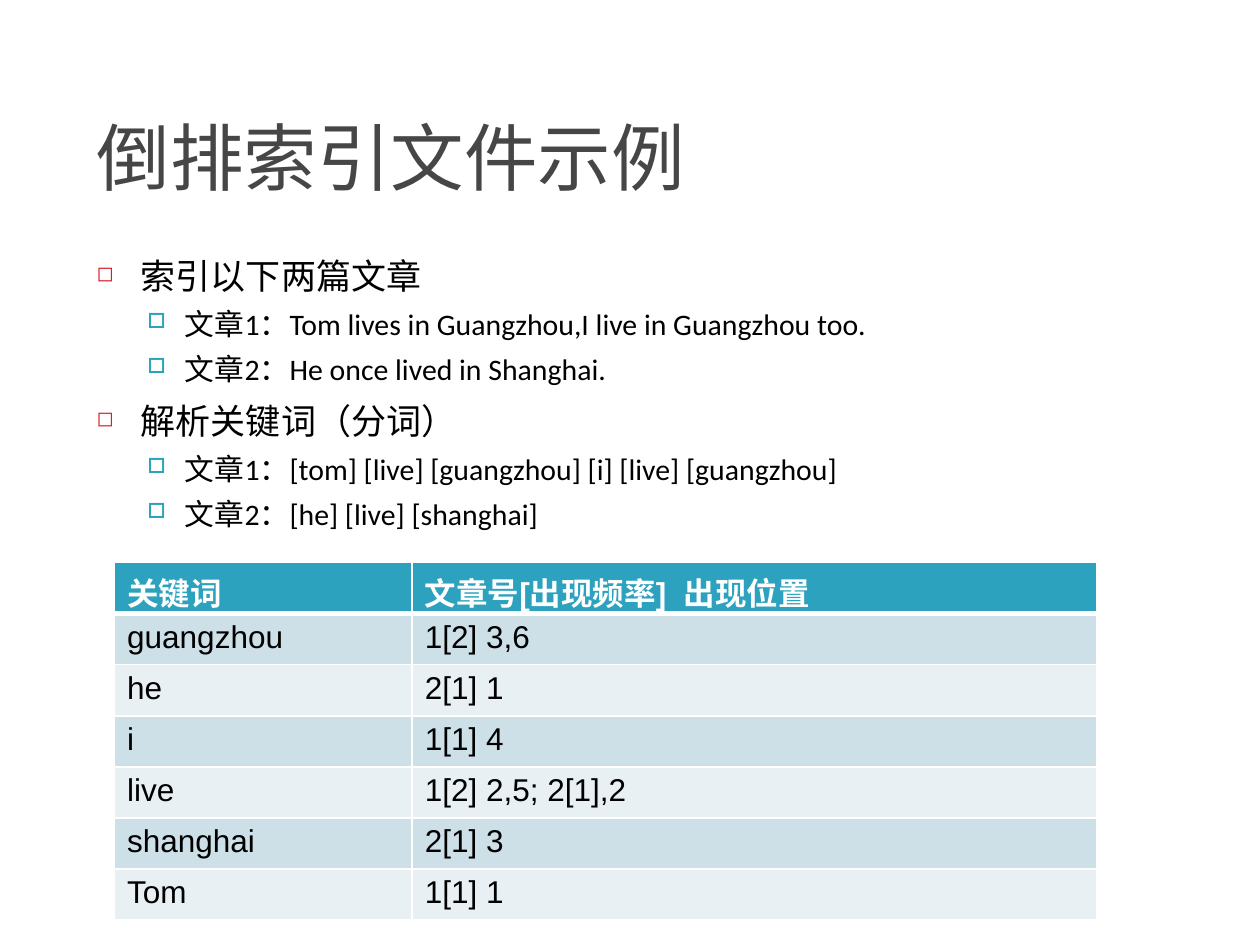
from lxml.etree import SubElement
from pptx import Presentation
from pptx.dml.color import RGBColor
from pptx.enum.text import MSO_ANCHOR as Anchor
from pptx.oxml import parse_xml
from pptx.oxml.ns import nsdecls, qn
from pptx.util import Cm, Pt

COLORS = {
    "title": "464646",
    "text": "000000",
    "white": "FFFFFF",
    "red": "DA1F28",
    "teal": "2DA2BF",
    "band_dark": "CDE0E8",
    "band_light": "E8F0F4",
}

# size, space before, left margin (cm), hanging indent (cm), bullet, its colour and percent
LEVELS = [
    (20, 7, 0.89, 0.89, "◻", "red", 60),
    (17, 5.5, 1.78, 0.76, "□", "teal", 70),
]

OUTLINE = [
    (0, "索引以下两篇文章"),
    (1, "文章1：Tom lives in Guangzhou,I live in Guangzhou too."),
    (1, "文章2：He once lived in Shanghai."),
    (0, "解析关键词（分词）"),
    (1, "文章1：[tom] [live] [guangzhou] [i] [live] [guangzhou]"),
    (1, "文章2：[he] [live] [shanghai]"),
]

INDEX_ROWS = [
    ("关键词", "文章号[出现频率]  出现位置"),
    ("guangzhou", "1[2] 3,6"),
    ("he", "2[1] 1"),
    ("i", "1[1] 4"),
    ("live", "1[2] 2,5; 2[1],2"),
    ("shanghai", "2[1] 3"),
    ("Tom", "1[1] 1"),
]


def add_run(paragraph, text, size, color, font_name="Calibri", bold=False):
    run = paragraph.add_run()
    run.text = text
    run.font.size = Pt(size)
    run.font.name = font_name
    run.font.bold = bold
    run.font.color.rgb = RGBColor.from_string(COLORS[color])


def add_text_frame(slide, left, top, width, height, anchor):
    shape = slide.shapes.add_textbox(left, top, width, height)
    frame = shape.text_frame
    frame.word_wrap = True
    frame.vertical_anchor = anchor
    return frame


def add_title(slide, left, top, width, height):
    frame = add_text_frame(slide, left, top, width, height, Anchor.BOTTOM)
    add_run(frame.paragraphs[0], "倒排索引文件示例", 42, "title")


def set_bullet(paragraph, margin, hanging, character, color, percent):
    properties = paragraph._p.get_or_add_pPr()
    properties.set("marL", str(Cm(margin)))
    properties.set("indent", str(-Cm(hanging)))
    bullet_color = SubElement(properties, qn("a:buClr"))
    SubElement(bullet_color, qn("a:srgbClr"), val=COLORS[color])
    SubElement(properties, qn("a:buSzPct"), val=str(percent * 1000))
    SubElement(properties, qn("a:buChar"), char=character)


def add_outline(slide, left, top, width, height):
    frame = add_text_frame(slide, left, top, width, height, Anchor.TOP)
    for number, (level, text) in enumerate(OUTLINE):
        paragraph = frame.add_paragraph() if number else frame.paragraphs[0]
        size, space_before, *bullet = LEVELS[level]
        paragraph.level = level
        paragraph.space_before = Pt(space_before)
        set_bullet(paragraph, *bullet)
        add_run(paragraph, text, size, "text")


def set_borders(cell, **widths):
    """Draw white borders; widths in points are keyed by side: L, R, T, B."""
    properties = cell._tc.get_or_add_tcPr()
    for position, side in enumerate("LRTB"):
        line = parse_xml(
            f'<a:ln{side} {nsdecls("a")} w="{Pt(widths.get(side, 1))}">'
            f'<a:solidFill><a:srgbClr val="{COLORS["white"]}"/></a:solidFill>'
            f'</a:ln{side}>'
        )
        properties.insert(position, line)


def add_index_table(slide, left, top, width, height):
    frame = slide.shapes.add_table(len(INDEX_ROWS), 2, left, top, width, height)
    table = frame.table
    table.columns[0].width = Cm(6)
    table.columns[1].width = width - Cm(6)
    for row_number, texts in enumerate(INDEX_ROWS):
        is_header = row_number == 0
        if is_header:
            fill, widths = "teal", {"B": 3}
        else:
            fill = "band_dark" if row_number % 2 else "band_light"
            widths = {"T": 3} if row_number == 1 else {}
        for column_number, text in enumerate(texts):
            cell = table.cell(row_number, column_number)
            cell.fill.solid()
            cell.fill.fore_color.rgb = RGBColor.from_string(COLORS[fill])
            set_borders(cell, **widths)
            add_run(cell.text_frame.paragraphs[0], text, 18,
                    "white" if is_header else "text", "Arial", is_header)


def main():
    presentation = Presentation()
    presentation.slide_width = Cm(25.4)
    presentation.slide_height = Cm(19.05)
    slide = presentation.slides.add_slide(presentation.slide_layouts[6])
    add_title(slide, Cm(1.7), Cm(0.43), Cm(22.66), Cm(3.73))
    add_outline(slide, Cm(1.7), Cm(5), Cm(22.66), Cm(5.92))
    add_index_table(slide, Cm(2.31), Cm(11.34), Cm(19.8), Cm(7.21))
    presentation.save("out.pptx")


if __name__ == "__main__":
    main()
